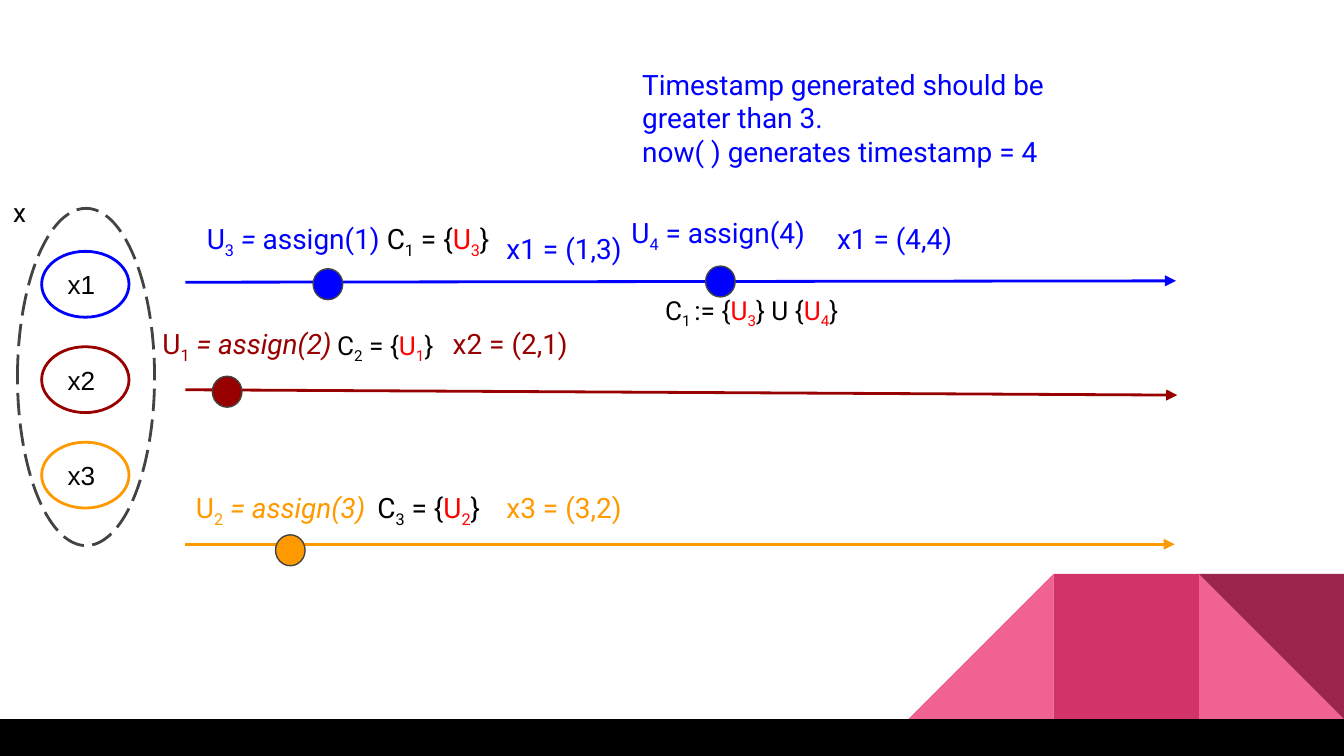
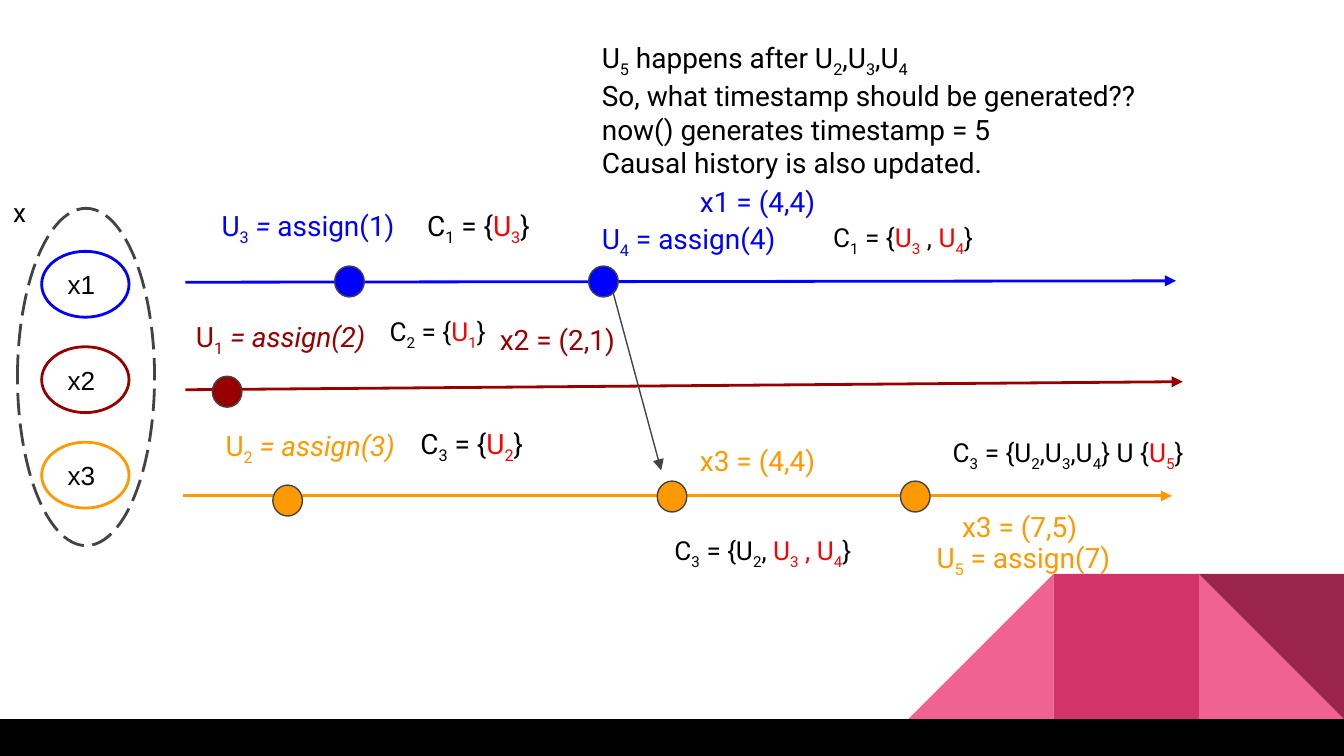
"""Build two slides of replica timelines with their causal histories."""
from itertools import groupby

from lxml.etree import SubElement
from pptx import Presentation
from pptx.dml.color import RGBColor
from pptx.enum.dml import MSO_LINE
from pptx.enum.shapes import MSO_CONNECTOR, MSO_SHAPE
from pptx.enum.text import MSO_ANCHOR, MSO_AUTO_SIZE, PP_ALIGN
from pptx.oxml.ns import qn
from pptx.util import Emu, Pt

PX = 9144
BLACK = RGBColor(0x00, 0x00, 0x00)
WHITE = RGBColor(0xFF, 0xFF, 0xFF)
GRAY = RGBColor(0x43, 0x43, 0x43)
RED = RGBColor(0xFF, 0x00, 0x00)
BLUE = RGBColor(0x00, 0x00, 0xFF)
MAROON = RGBColor(0x98, 0x00, 0x00)
ORANGE = RGBColor(0xFF, 0x99, 0x00)
PINK = RGBColor(0xF0, 0x62, 0x92)
ROSE = RGBColor(0xD2, 0x33, 0x69)
WINE = RGBColor(0x9C, 0x25, 0x4D)

MARGIN = Emu(10 * PX)
FRAME = {
    "margin_left": MARGIN, "margin_right": MARGIN,
    "margin_top": MARGIN, "margin_bottom": MARGIN, "word_wrap": True,
}
TOGGLES = {"_": "subscript", "*": "red", "/": "italic"}


def px(*lengths):
    """Turn px lengths into EMU."""
    return [Emu(length * PX) for length in lengths]


def set_all(target, values):
    """Set each attribute of the target from a dict."""
    for name, value in values.items():
        setattr(target, name, value)


def split_spans(markup):
    """Split a line into (text, marks): _subscript_, *red*, /italic/."""
    marks, marked = frozenset(), []
    for char in markup:
        if char in TOGGLES:
            marks = marks ^ {TOGGLES[char]}
        else:
            marked.append((char, marks))
    for marks, group in groupby(marked, key=lambda pair: pair[1]):
        yield "".join(char for char, _ in group), marks


def write(frame, lines, color, size, font="Roboto"):
    """Write marked-up lines into a text frame, one paragraph each."""
    set_all(frame, FRAME)
    for index, line in enumerate(lines):
        para = frame.add_paragraph() if index else frame.paragraphs[0]
        para.alignment = PP_ALIGN.LEFT
        for text, marks in split_spans(line):
            span = para.add_run()
            span.text = text
            set_all(span.font, {"name": font, "size": Pt(size), "italic": "italic" in marks})
            span.font.color.rgb = RED if "red" in marks else color
            if "subscript" in marks:
                span.font._element.set("baseline", "-25000")


def add_label(page, left, top, width, height, lines, color=BLACK, size=15):
    """Add a text box with one or more lines."""
    box = page.shapes.add_textbox(*px(left, top, width, height))
    write(box.text_frame, lines, color, size)
    box.text_frame.auto_size = MSO_AUTO_SIZE.SHAPE_TO_FIT_TEXT


def add_figure(page, kind, bounds, fill, line=None, weight=1.5):
    """Add a filled preset shape, outlined if a line colour is given."""
    figure = page.shapes.add_shape(kind, *px(*bounds))
    figure.shadow.inherit = False
    figure.fill.solid()
    figure.fill.fore_color.rgb = fill
    if line is None:
        figure.line.fill.background()
    else:
        figure.line.color.rgb = line
        figure.line.width = Pt(weight)
    return figure


def add_arrow(page, start, end, color, weight=1.5):
    """Add a straight arrow between two points."""
    arrow = page.shapes.add_connector(MSO_CONNECTOR.STRAIGHT, *px(*start, *end))
    arrow.line.color.rgb = color
    arrow.line.width = Pt(weight)
    properties = arrow._element.spPr
    SubElement(properties.find(qn("a:ln")), qn("a:tailEnd"), type="triangle")
    SubElement(properties, qn("a:effectLst"))


def add_event(page, left, top, color):
    """Add an event dot on a timeline."""
    add_figure(page, MSO_SHAPE.FLOWCHART_CONNECTOR, (left, top, 22, 23), color, GRAY, 0.75)


def add_footer(page):
    """Add the pink corner pattern and the black band."""
    side, top = 108, 427
    left, middle, right = [1000 - count * side for count in (3, 2, 1)]
    add_figure(page, MSO_SHAPE.RIGHT_TRIANGLE, (right, top, side, side), PINK)
    slope = add_figure(page, MSO_SHAPE.RIGHT_TRIANGLE, (left, top, side, side), PINK)
    slope._element.spPr.xfrm.set("flipH", "1")
    add_figure(page, MSO_SHAPE.RECTANGLE, (middle, top, side, side), ROSE)
    corner = add_figure(page, MSO_SHAPE.RIGHT_TRIANGLE, (right, top, side, side), WINE)
    corner.rotation = 180
    add_figure(page, MSO_SHAPE.RECTANGLE, (0, 535, 1000, 28), BLACK)


def add_replicas(page):
    """Add the dashed object x with its three replicas."""
    group = add_figure(page, MSO_SHAPE.OVAL, (13, 155, 102, 251), WHITE, GRAY)
    group.line.dash_style = MSO_LINE.LONG_DASH
    for index, color in enumerate((BLUE, MAROON, ORANGE)):
        bounds = (31, 187 + 71 * index, 65, 49)
        replica = add_figure(page, MSO_SHAPE.FLOWCHART_CONNECTOR, bounds, WHITE, color)
        write(replica.text_frame, [f"x{index + 1}"], BLACK, 14, "Arial")
        replica.text_frame.vertical_anchor = MSO_ANCHOR.MIDDLE
    add_label(page, 0, 136, 38, 43, ["x"], size=14)


def add_timelines(deck, timelines, events):
    """Add a page with the shared parts, the timelines and their events."""
    page = deck.slides.add_slide(deck.slide_layouts[6])
    add_footer(page)
    add_replicas(page)
    for start, end, color in timelines:
        add_arrow(page, start, end, color)
    for event in events:
        add_event(page, *event)
    return page


def add_values(page, values):
    """Add the replica values, all in boxes of one size."""
    for left, top, text, color in values:
        add_label(page, left, top, 119, 45, [text], color)


def add_updates(page, updates):
    """Add the update operations, all in boxes of one height."""
    for left, top, width, text, color in updates:
        add_label(page, left, top, width, 48, [text], color)


def add_histories(page, histories):
    """Add the causal histories."""
    for left, top, width, height, size, text in histories:
        add_label(page, left, top, width, height, [text], size=size)


def build_fourth_update(deck):
    """Build the page where U4 gets its timestamp."""
    page = add_timelines(
        deck,
        [((138, 210), (875, 209), BLUE),
         ((138, 290), (876, 294), MAROON),
         ((138, 405), (874, 405), ORANGE)],
        [(158, 280, MAROON), (205, 398, ORANGE), (233, 200, BLUE), (525, 198, BLUE)],
    )
    add_values(page, [
        (327, 233, "x2 = (2,1)", MAROON),
        (367, 162, "x1 = (1,3)", BLUE),
        (367, 355, "x3 = (3,2)", ORANGE),
        (613, 155, "x1 = (4,4)", BLUE),
    ])
    add_histories(page, [
        (278, 155, 114, 48, 15, "C_1_ = {*U_3_*}"),
        (485, 209, 171, 46, 14, "C_1 _:= {*U_3_*} U {*U_4_*}"),
        (241, 235, 151, 96, 14, "C_2_ = {*U_1_*}"),
        (271, 355, 102, 48, 15, "C_3_ = {*U_2_*}"),
    ])
    add_updates(page, [
        (460, 150, 164, "U_4_ = assign(4)", BLUE),
        (144, 155, 155, "U_3_/ = /assign(1)", BLUE),
        (136, 355, 155, "U_2_/ = assign(3)/", ORANGE),
        (111, 233, 155, "U_1_/ = assign(2)/", MAROON),
    ])
    add_label(page, 468, 40, 337, 95, [
        "Timestamp generated should be greater than 3.",
        "now( ) generates timestamp = 4",
    ], BLUE)


def build_fifth_update(deck):
    """Build the page where U5 follows the merge into x3."""
    page = add_timelines(
        deck,
        [((138, 210), (875, 209), BLUE),
         ((138, 290), (880, 284), MAROON),
         ((136, 369), (872, 369), ORANGE)],
        [(158, 280, MAROON), (203, 361, ORANGE), (249, 198, BLUE),
         (438, 198, BLUE), (489, 358, ORANGE), (670, 358, ORANGE)],
    )
    add_arrow(page, (456, 217), (492, 350), GRAY, 0.75)
    add_values(page, [
        (362, 230, "x2 = (2,1)", MAROON),
        (511, 127, "x1 = (4,4)", BLUE),
        (511, 320, "x3 = (4,4)", ORANGE),
        (706, 369, "x3 = (7,5)", ORANGE),
    ])
    add_histories(page, [
        (492, 388, 194, 46, 14, "C_3_ = {U_2_, *U_3_ , U_4_*}"),
        (699, 315, 228, 46, 14, "C_3_ = {U_2_,U_3_,U_4_} U {*U_5_*}"),
        (610, 155, 147, 46, 14, "C_1_ = {*U_3_* , *U_4_*}"),
        (308, 145, 137, 48, 15, "C_1_ = {*U_3_*}"),
        (280, 225, 151, 96, 14, "C_2_ = {*U_1_*}"),
        (303, 307, 253, 48, 15, "C_3_ = {*U_2_*}"),
    ])
    add_updates(page, [
        (687, 392, 156, "U_5_ = assign(7)", ORANGE),
        (438, 155, 164, "U_4_ = assign(4)", BLUE),
        (155, 145, 155, "U_3_/ = /assign(1)", BLUE),
        (158, 309, 155, "U_2_/ = assign(3)/", ORANGE),
        (136, 228, 155, "U_1_/ = assign(2)/", MAROON),
    ])
    add_label(page, 438, 20, 493, 123, [
        "U_5_ happens after U_2_,U_3_,U_4_",
        "So, what timestamp should be generated??",
        "now() generates timestamp = 5",
        "Causal history is also updated.",
    ])


def main():
    """Build and save the deck."""
    deck = Presentation()
    deck.slide_width = Emu(1000 * PX)
    deck.slide_height = Emu(deck.slide_width * 9 // 16)
    build_fourth_update(deck)
    build_fifth_update(deck)
    deck.save("out.pptx")


if __name__ == "__main__":
    main()
